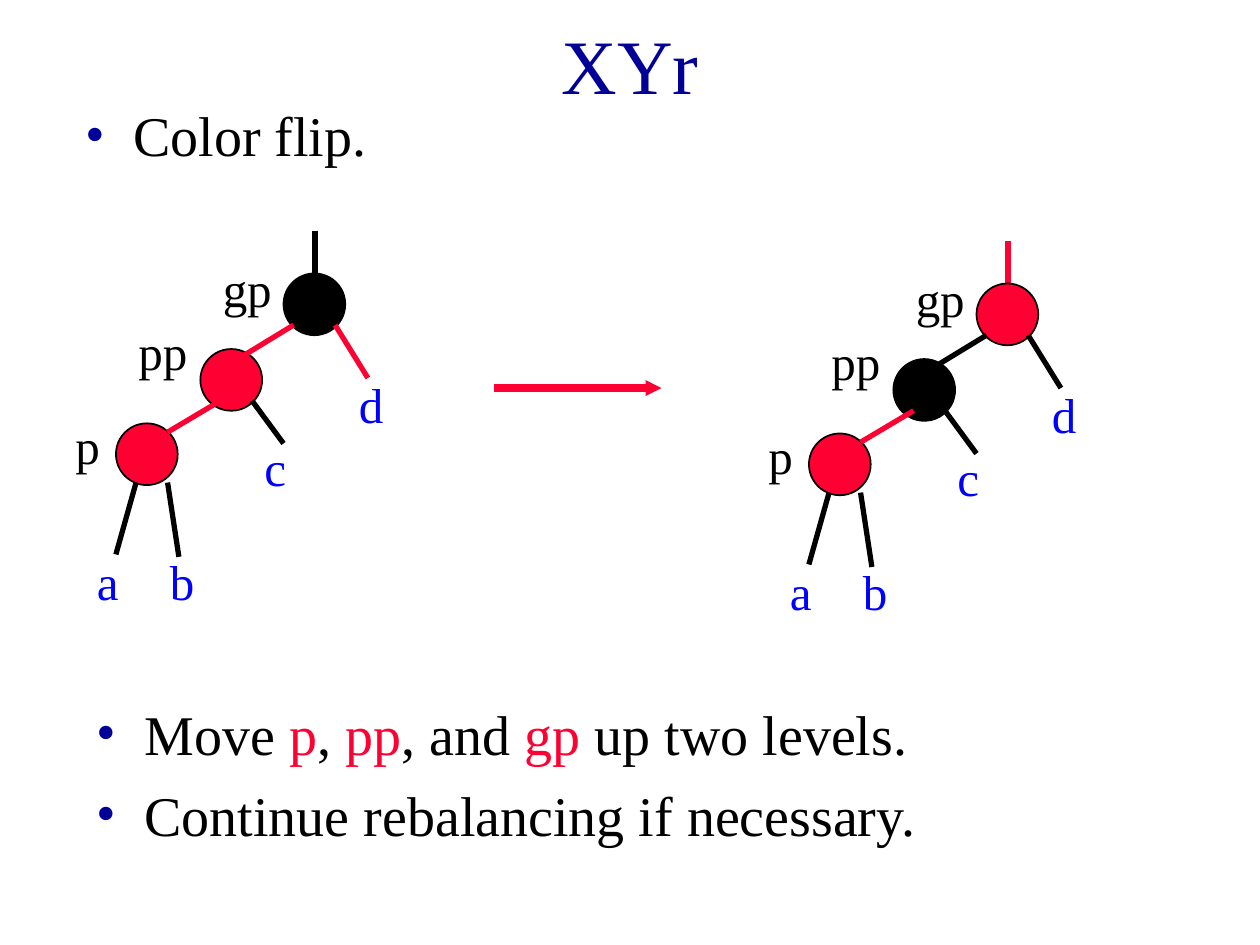
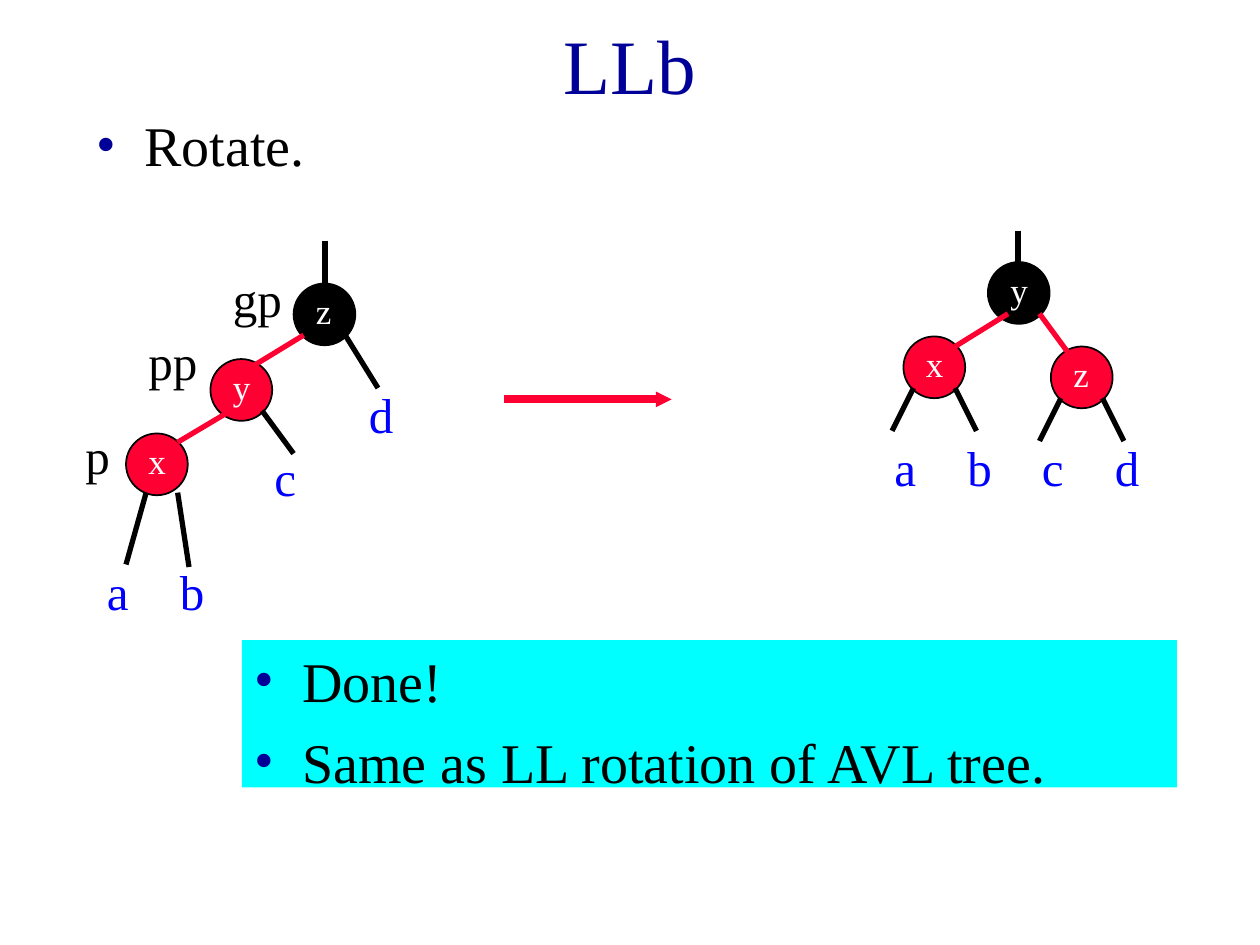
from dataclasses import dataclass

from lxml import etree
from pptx import Presentation
from pptx.dml.color import RGBColor
from pptx.enum.shapes import MSO_CONNECTOR, MSO_SHAPE
from pptx.enum.text import MSO_ANCHOR, MSO_AUTO_SIZE, PP_ALIGN
from pptx.oxml.ns import qn
from pptx.util import Inches, Pt

STRAIGHT = MSO_CONNECTOR.STRAIGHT
OVAL, RECTANGLE = MSO_SHAPE.OVAL, MSO_SHAPE.RECTANGLE
TOP, MIDDLE = MSO_ANCHOR.TOP, MSO_ANCHOR.MIDDLE
LEFT, CENTER = PP_ALIGN.LEFT, PP_ALIGN.CENTER
NO_FIT, GROW = MSO_AUTO_SIZE.NONE, MSO_AUTO_SIZE.SHAPE_TO_FIT_TEXT


@dataclass(frozen=True)
class Theme:
    font: str = "Times New Roman"
    navy: str = "000099"
    black: str = "000000"
    white: str = "FFFFFF"
    red: str = "FF0033"
    blue: str = "0000FF"
    cyan: str = "00FFFF"
    title_size: int = 44
    body_size: int = 32
    label_size: int = 28
    key_size: int = 20
    body_gap: float = 8
    label_gap: float = 17.5
    key_gap: float = 12.5
    edge_width: float = 3
    arrow_width: float = 4.5
    outline_width: float = 1
    node_size: float = 0.49


THEME = Theme()


class Slides:
    def __init__(self, deck, theme):
        self.deck = deck
        self.theme = theme
        self.page = None
        self.shapes = None

    def start(self, title):
        self.page = self.deck.slides.add_slide(self.deck.slide_layouts[5])
        self.shapes = self.page.shapes
        box = self.page.shapes.title
        box.left, box.top = Inches(0.75), Inches(0.17)
        box.width, box.height = Inches(8.5), Inches(0.67)
        frame = self.frame(box, MIDDLE, NO_FIT)
        frame.paragraphs[0].alignment = CENTER
        self.span(frame.paragraphs[0], title, self.theme.title_size, self.theme.navy)

    def frame(self, box, anchor, fit):
        frame = box.text_frame
        frame.word_wrap = True
        frame.auto_size = fit
        frame.vertical_anchor = anchor
        return frame

    def span(self, para, text, size, color):
        span = para.add_run()
        span.text = text
        span.font.name = self.theme.font
        span.font.size = Pt(size)
        span.font.color.rgb = RGBColor.from_string(color)

    def bullets(self, left, top, width, height, lines, fill=None):
        area = [Inches(value) for value in (left, top, width, height)]
        if fill:
            box = self.shapes.add_shape(RECTANGLE, *area)
            box.shadow.inherit = False
            box.fill.solid()
            box.fill.fore_color.rgb = RGBColor.from_string(fill)
            box.line.fill.background()
        else:
            box = self.shapes.add_textbox(*area)
        frame = self.frame(box, TOP, NO_FIT)
        for index, line in enumerate(lines):
            para = frame.add_paragraph() if index else frame.paragraphs[0]
            self.bullet(para)
            for text, color in line:
                self.span(para, text, self.theme.body_size, color)

    def bullet(self, para):
        para.alignment = LEFT
        para.space_before = Pt(self.theme.body_gap)
        props = para._p.get_or_add_pPr()
        props.set("marL", str(Inches(0.38)))
        props.set("indent", str(-Inches(0.38)))
        color = etree.SubElement(props, qn("a:buClr"))
        etree.SubElement(color, qn("a:srgbClr"), val=self.theme.navy)
        etree.SubElement(props, qn("a:buFont"), typeface=self.theme.font)
        etree.SubElement(props, qn("a:buChar"), char="•")

    def text(self, text, left, top, width, height, size, gap, color):
        box = self.shapes.add_textbox(
            Inches(left), Inches(top), Inches(width), Inches(height))
        para = self.frame(box, TOP, GROW).paragraphs[0]
        para.space_before = Pt(gap)
        self.span(para, text, size, color)

    def label(self, text, left, top, width=0.5, color=THEME.blue):
        self.text(text, left, top, width, 0.57,
                  self.theme.label_size, self.theme.label_gap, color)

    def node(self, left, top, fill, key=""):
        size = Inches(self.theme.node_size)
        circle = self.shapes.add_shape(OVAL, Inches(left), Inches(top), size, size)
        circle.shadow.inherit = False
        circle.fill.solid()
        circle.fill.fore_color.rgb = RGBColor.from_string(fill)
        circle.line.color.rgb = RGBColor.from_string(self.theme.black)
        circle.line.width = Pt(self.theme.outline_width)
        if key:
            self.text(key, left + 0.08, top, 0.5, 0.43,
                      self.theme.key_size, self.theme.key_gap, self.theme.white)

    def edge(self, x1, y1, x2, y2, color=THEME.black, width=THEME.edge_width):
        line = self.shapes.add_connector(
            STRAIGHT, Inches(x1), Inches(y1), Inches(x2), Inches(y2))
        line.line.color.rgb = RGBColor.from_string(color)
        line.line.width = Pt(width)
        etree.SubElement(line._element.spPr, qn("a:effectLst"))
        return line

    def arrow(self, left, top):
        line = self.edge(left, top, left + 1.33, top,
                         self.theme.red, self.theme.arrow_width)
        etree.SubElement(line.line._get_or_add_ln(), qn("a:tailEnd"),
                         type="triangle", w="sm", len="sm")

    def tree(self, dx, dy, nodes, edges, leaves, relatives=()):
        self.shapes = self.page.shapes.add_group_shape().shapes
        root, *branches = edges
        x1, y1, x2, y2, color = root
        self.edge(x1 + dx, y1 + dy, x2 + dx, y2 + dy, color)
        for left, top, fill, key in nodes:
            self.node(left + dx, top + dy, fill, key)
        for x1, y1, x2, y2, color in branches:
            self.edge(x1 + dx, y1 + dy, x2 + dx, y2 + dy, color)
        for text, left, top in leaves:
            self.label(text, left + dx, top + dy)
        for text, left, top, width in relatives:
            self.label(text, left + dx, top + dy, width, self.theme.black)
        self.shapes = self.page.shapes

    def left_chain(self, dx, dy, root, gp, pp, gp_left, gp_right, keys=("", "", "")):
        black, red = self.theme.black, self.theme.red
        nodes = [
            (fill_left, fill_top, fill, key)
            for (fill_left, fill_top), fill, key in zip(
                [(2.25, 2.17), (1.59, 2.77), (0.92, 3.36)], (gp, pp, red), keys)
        ]
        edges = [
            (2.5, 1.83, 2.5, 2.17, root),
            (2.33, 2.58, 1.92, 2.83, gp_left),
            (2.66, 2.58, 2.92, 3, gp_right),
            (1.75, 3.18, 1.33, 3.43, red),
            (2, 3.18, 2.25, 3.52, black),
            (1.08, 3.83, 0.92, 4.4, black),
            (1.33, 3.83, 1.42, 4.42, black),
        ]
        leaves = [("a", 0.67, 4.33), ("b", 1.25, 4.33), ("c", 2, 3.42), ("d", 2.75, 2.92)]
        relatives = [("gp", 1.67, 2, 0.67), ("pp", 1, 2.5, 0.75), ("p", 0.5, 3.25, 0.42)]
        self.tree(dx, dy, nodes, edges, leaves, relatives)

    def rotated(self):
        black, red = self.theme.black, self.theme.red
        nodes = [(7.84, 2.08, black, "y"), (7.17, 2.67, red, "x"), (8.34, 2.75, red, "z")]
        edges = [
            (8.08, 1.83, 8.08, 2.17, black),
            (8, 2.49, 7.58, 2.75, red),
            (8.25, 2.49, 8.5, 2.83, red),
        ]
        for left, top, _, _ in nodes[1:]:
            edges.append((left + 0.08, top + 0.41, left - 0.09, top + 0.75, black))
            edges.append((left + 0.41, top + 0.41, left + 0.58, top + 0.75, black))
        leaves = [(leaf, left, 3.42) for leaf, left in zip("abcd", (7, 7.58, 8.17, 8.75))]
        self.tree(0, 0, nodes, edges, leaves)


def color_flip(slides):
    black, red = slides.theme.black, slides.theme.red
    slides.start("XYr")
    slides.bullets(0.58, 0.75, 8.5, 1.33, [[("Color flip.", black)]])
    slides.left_chain(0, 0, root=black, gp=black, pp=red, gp_left=red, gp_right=red)
    slides.left_chain(5.5, 0.08, root=red, gp=red, pp=black, gp_left=black, gp_right=black)
    slides.arrow(3.92, 3.08)
    slides.bullets(0.67, 5.5, 8.5, 0.92, [
        [("Move ", black), ("p", red), (", ", black), ("pp", red),
         (", and ", black), ("gp", red), (" up two levels.", black)],
        [("Continue rebalancing if necessary.", black)],
    ])


def rotation(slides):
    black, red = slides.theme.black, slides.theme.red
    slides.start("LLb")
    slides.bullets(0.67, 0.83, 8.5, 0.92, [[("Rotate.", black)]])
    slides.arrow(4, 3.17)
    slides.bullets(1.92, 5.08, 7.42, 1.17, [
        [("Done!", black)],
        [("Same as LL rotation of AVL tree.", black)],
    ], fill=slides.theme.cyan)
    slides.rotated()
    slides.left_chain(0.08, 0.08, root=black, gp=black, pp=red,
                      gp_left=red, gp_right=black, keys="zyx")


def main():
    deck = Presentation()
    deck.slide_width, deck.slide_height = Inches(10), Inches(7.5)
    slides = Slides(deck, THEME)
    color_flip(slides)
    rotation(slides)
    deck.save("out.pptx")


if __name__ == "__main__":
    main()
